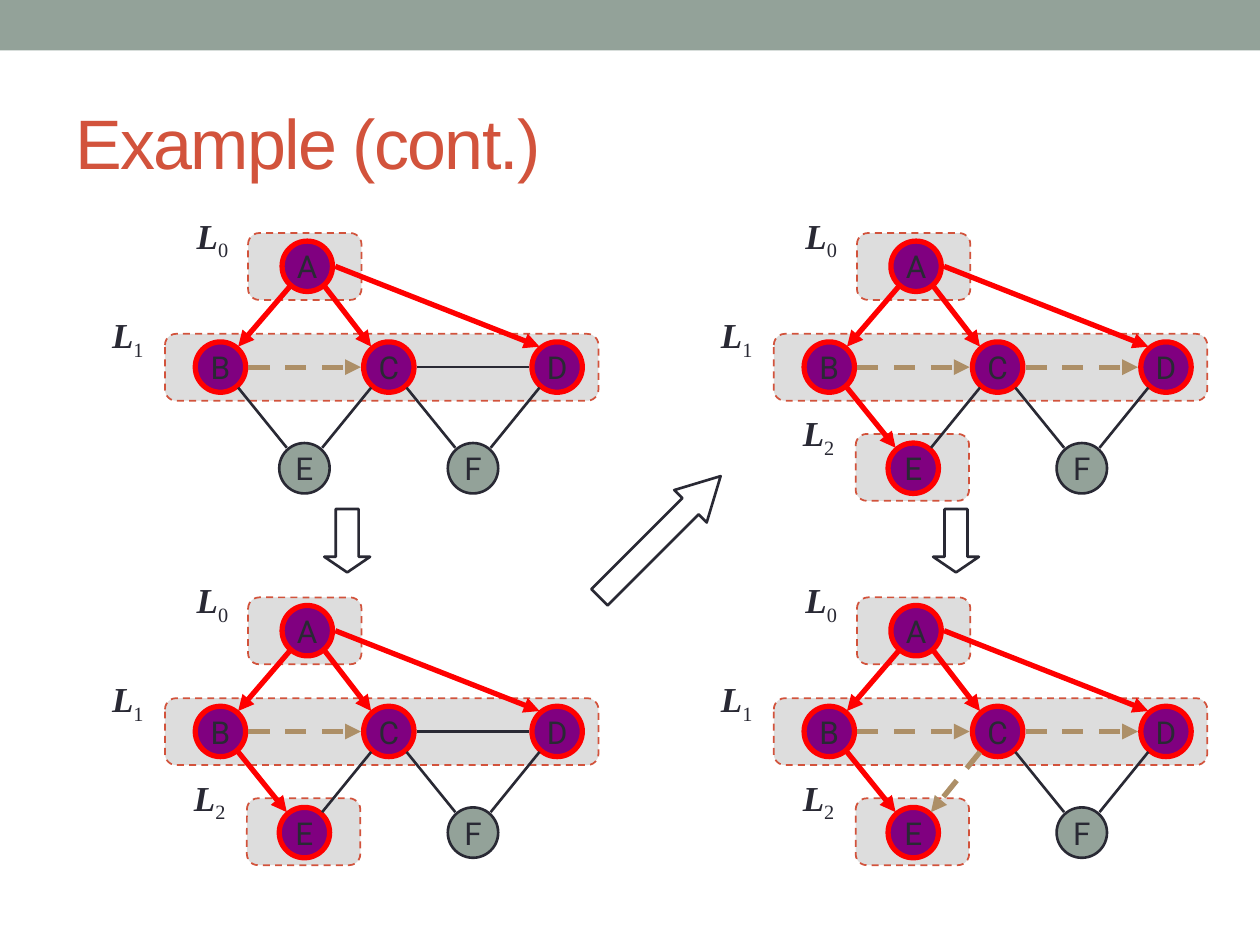
from dataclasses import dataclass
from typing import NamedTuple

from lxml.etree import SubElement
from pptx import Presentation
from pptx.dml.color import RGBColor
from pptx.enum.dml import MSO_LINE
from pptx.enum.shapes import MSO_CONNECTOR, MSO_SHAPE
from pptx.enum.text import MSO_ANCHOR, PP_ALIGN
from pptx.oxml.ns import qn
from pptx.util import Pt

SAGE = RGBColor(0x93, 0xA2, 0x99)
RUST = RGBColor(0xD2, 0x53, 0x3C)
INK = RGBColor(0x29, 0x29, 0x34)
PURPLE = RGBColor(0x80, 0x00, 0x80)
RED = RGBColor(0xFF, 0x00, 0x00)
TAN = RGBColor(0xAD, 0x8F, 0x67)
GREY = RGBColor(0xDD, 0xDD, 0xDD)

TITLE_FONT = {"name": "Arial", "size": Pt(40)}
NODE_FONT = {"name": "Roboto", "size": Pt(18)}
LEVEL_FONT = {"name": "Times New Roman", "size": Pt(20), "bold": True, "italic": True}
INDEX_FONT = LEVEL_FONT | {"bold": False, "italic": False}

DIAMETER = 28.8
SIDE_GAP = 16
CORNER_X, CORNER_Y = 10.1, 11.7
LONG_EDGE = 100

NODES = {"A": (175.6, 152.2), "B": (126, 209.8), "C": (222.2, 209.8),
         "D": (318.4, 209.8), "E": (174, 267.6), "F": (270.3, 267.6)}
EDGES = ["AB", "AC", "AD", "BC", "CD", "BE", "CE", "CF", "DF"]


class Style(NamedTuple):
    color: RGBColor
    width: float
    dashed: bool = False
    arrow: bool = False


PLAIN = Style(INK, 1.5)
TREE = Style(RED, 3, arrow=True)
CROSS = Style(TAN, 3, dashed=True, arrow=True)
BAND = Style(RUST, 1, dashed=True)


class Level(NamedTuple):
    left: float
    top: float
    width: float
    label_left: float
    label_top: float


LEVELS = [Level(141.8, 133.2, 64.8, 103, 118.8),
          Level(94.3, 190.8, 247.7, 54.7, 175.7),
          Level(141.1, 248, 64.8, 101.5, 231.8)]


@dataclass
class Panel:
    """One step of the search: its offset and the edges classified so far."""
    dx: float
    dy: float
    tree: set[str]
    cross: set[str]


FIRST = {"AB", "AC", "AD"}
RIGHT, DOWN = 347.9, 208.2
PANELS = [Panel(0, 0, FIRST, {"BC"}),
          Panel(0, DOWN, FIRST | {"BE"}, {"BC"}),
          Panel(RIGHT, 0, FIRST | {"BE"}, {"BC", "CD"}),
          Panel(RIGHT, DOWN, FIRST | {"BE"}, {"BC", "CD", "CE"})]


class BlockArrow(NamedTuple):
    cx: float
    cy: float
    length: float
    rotation: float
    head: float


BLOCK_ARROWS = [BlockArrow(198.4, 309, 36.2, 90, 0.34),
                BlockArrow(198.4 + RIGHT, 309, 36.2, 90, 0.34),
                BlockArrow(377.2, 306.7, 97.9, -45, 0.93)]


def style_line(line, style: Style) -> None:
    line.color.rgb = style.color
    line.width = Pt(style.width)
    if style.dashed:
        line.dash_style = MSO_LINE.DASH


def add_run(p, text: str, font: dict, color: RGBColor):
    r = p.add_run()
    r.text = text
    for name, value in font.items():
        setattr(r.font, name, value)
    r.font.color.rgb = color
    return r


def add_shape(s, kind, left: float, top: float, width: float, height: float,
              fill: RGBColor | None = None, style: Style | None = None):
    sp = s.shapes.add_shape(kind, Pt(left), Pt(top), Pt(width), Pt(height))
    sp.shadow.inherit = False
    if fill is None:
        sp.fill.background()
    else:
        sp.fill.solid()
        sp.fill.fore_color.rgb = fill
    if style is None:
        sp.line.fill.background()
    else:
        style_line(sp.line, style)
    return sp


def add_text_box(s, left: float, top: float, width: float, height: float):
    tf = s.shapes.add_textbox(Pt(left), Pt(top), Pt(width), Pt(height)).text_frame
    tf.word_wrap = True
    return tf


def add_title(s, text: str) -> None:
    tf = add_text_box(s, 36, 41.8, 648, 77.8)
    tf.vertical_anchor = MSO_ANCHOR.MIDDLE
    r = add_run(tf.paragraphs[0], text, TITLE_FONT, RUST)
    r.font._element.set("spc", "-100")


def add_level_label(s, index: int, left: float, top: float) -> None:
    p = add_text_box(s, left, top, 36.7, 31).paragraphs[0]
    p.alignment = PP_ALIGN.CENTER
    add_run(p, "L", LEVEL_FONT, INK)
    r = add_run(p, str(index), INDEX_FONT, INK)
    r.font._element.set("baseline", "-25000")


def add_node(s, name: str, cx: float, cy: float, visited: bool) -> None:
    fill, style = (PURPLE, Style(RED, 3)) if visited else (SAGE, PLAIN)
    sp = add_shape(s, MSO_SHAPE.OVAL, cx - DIAMETER / 2, cy - DIAMETER / 2,
                   DIAMETER, DIAMETER, fill, style)
    tf = sp.text_frame
    tf.word_wrap = False
    tf.vertical_anchor = MSO_ANCHOR.MIDDLE
    p = tf.paragraphs[0]
    p.alignment = PP_ALIGN.CENTER
    add_run(p, name, NODE_FONT, INK)


def add_edge(s, edge: str, panel: Panel) -> None:
    """Join two nodes: from the side if level or long, else corner to corner."""
    (x1, y1), (x2, y2) = (NODES[name] for name in edge)
    sign = 1 if x2 > x1 else -1
    level = y1 == y2
    if level or x2 - x1 > LONG_EDGE:
        x1 += SIDE_GAP
    else:
        x1, y1 = x1 + sign * CORNER_X, y1 + CORNER_Y
    if level:
        x2 -= SIDE_GAP
    else:
        x2, y2 = x2 - sign * CORNER_X, y2 - CORNER_Y
    line = s.shapes.add_connector(MSO_CONNECTOR.STRAIGHT,
                                  Pt(x1 + panel.dx), Pt(y1 + panel.dy),
                                  Pt(x2 + panel.dx), Pt(y2 + panel.dy))
    style = TREE if edge in panel.tree else CROSS if edge in panel.cross else PLAIN
    style_line(line.line, style)
    if style.arrow:
        SubElement(line.line._get_or_add_ln(), qn("a:tailEnd"), type="triangle")
    SubElement(line._element.spPr, qn("a:effectLst"))


def add_panel(s, panel: Panel) -> None:
    reached = set("".join(panel.tree))
    levels = LEVELS if "E" in reached else LEVELS[:2]
    for level in levels:
        add_shape(s, MSO_SHAPE.ROUNDED_RECTANGLE, level.left + panel.dx,
                  level.top + panel.dy, level.width, 38.2, GREY, BAND)
    for name, (cx, cy) in NODES.items():
        add_node(s, name, cx + panel.dx, cy + panel.dy, name in reached)
    for edge in EDGES:
        add_edge(s, edge, panel)
    for i, level in enumerate(levels):
        add_level_label(s, i, level.label_left + panel.dx, level.label_top + panel.dy)


def add_block_arrow(s, arrow: BlockArrow) -> None:
    height = 26.2
    sp = add_shape(s, MSO_SHAPE.RIGHT_ARROW, arrow.cx - arrow.length / 2,
                   arrow.cy - height / 2, arrow.length, height, style=PLAIN)
    sp.rotation = arrow.rotation
    sp.adjustments[1] = arrow.head


def main() -> None:
    prs = Presentation()
    prs.slide_width, prs.slide_height = Pt(720), Pt(540)
    s = prs.slides.add_slide(prs.slide_layouts[6])
    add_shape(s, MSO_SHAPE.RECTANGLE, 0, 0, 720, 28.8, SAGE)
    add_title(s, "Example (cont.)")
    for arrow in BLOCK_ARROWS:
        add_block_arrow(s, arrow)
    for panel in PANELS:
        add_panel(s, panel)
    prs.save("out.pptx")


if __name__ == "__main__":
    main()
